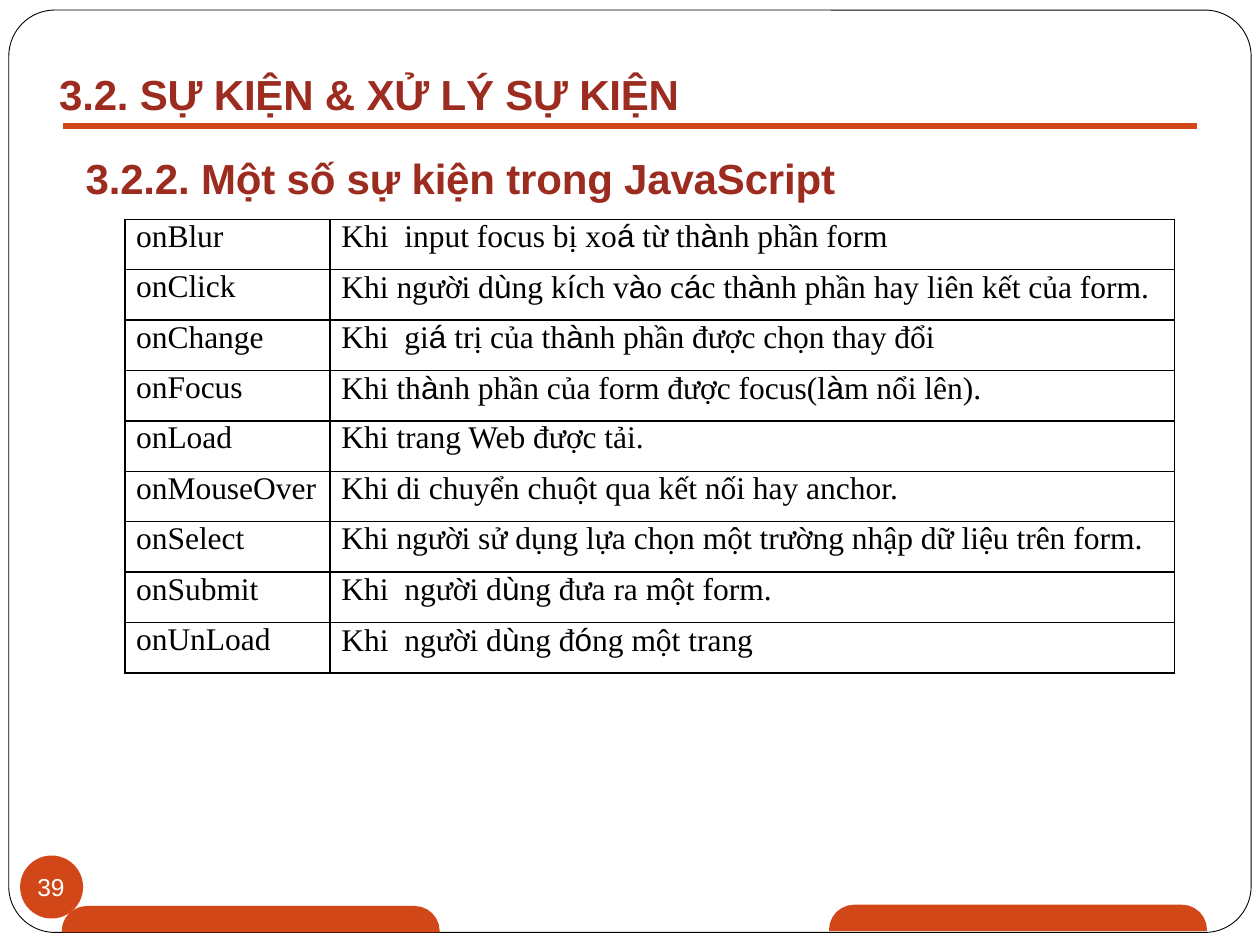
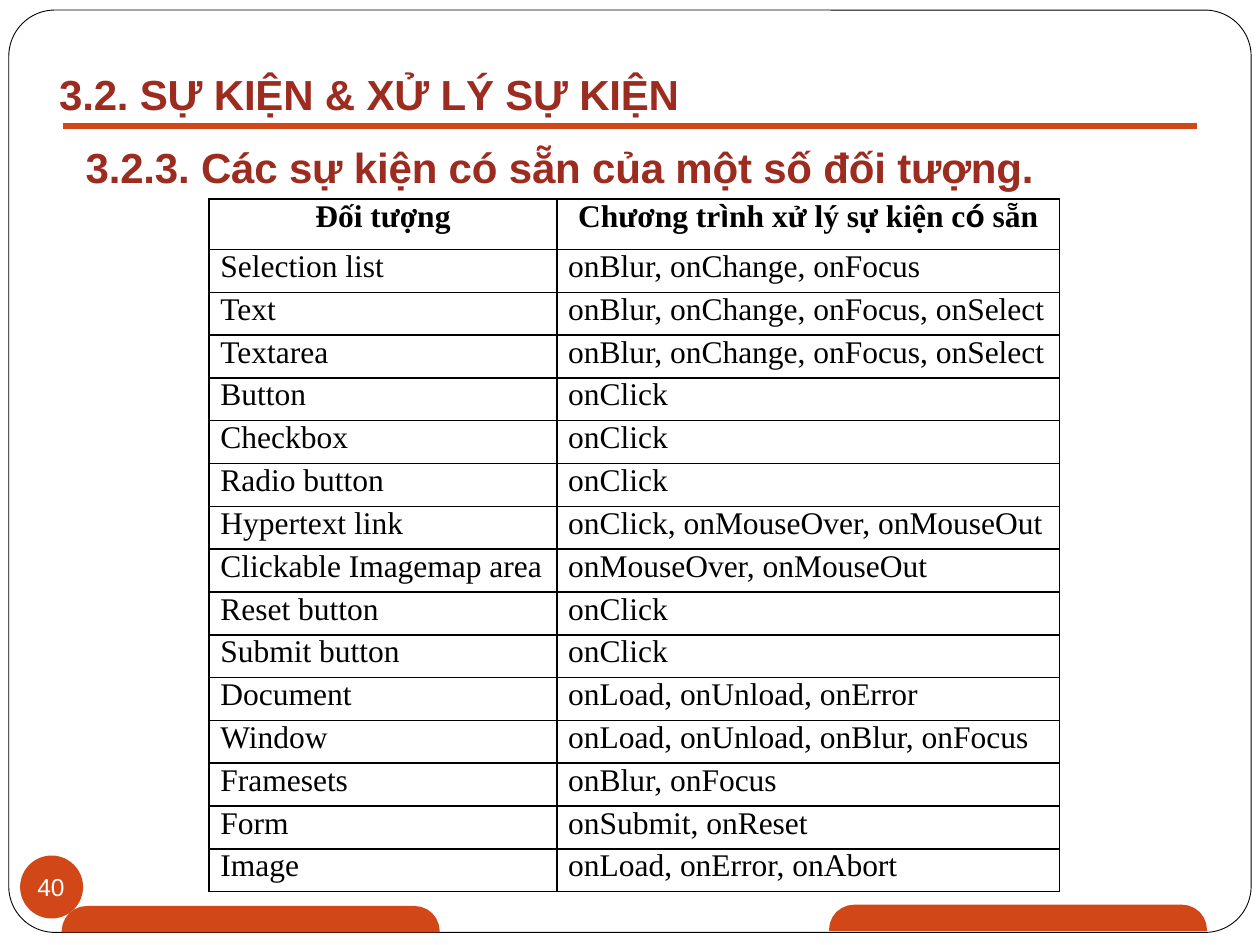
"""Builds two slides on JavaScript events, each with a heading and a ruled table."""
import math
from itertools import groupby

from lxml import etree
from pptx import Presentation
from pptx.dml.color import RGBColor
from pptx.enum import shapes, text as txt
from pptx.oxml import ns
from pptx.util import Inches, Pt

ORANGE = RGBColor(0xD2, 0x47, 0x17)
DARK_RED = RGBColor(0x9B, 0x2C, 0x1F)
BLACK = RGBColor(0, 0, 0)
WHITE = RGBColor(0xFF, 0xFF, 0xFF)
SANS, SERIF = "Arial", "Times New Roman"
SANS_LETTERS = "áàùíóì"

CHAPTER = "3.2. SỰ KIỆN & XỬ LÝ SỰ KIỆN"
EVENTS = [
    ("onBlur", "Khi  input focus bị xoá từ thành phần form"),
    ("onClick", "Khi người dùng kích vào các thành phần hay liên kết của form."),
    ("onChange", "Khi  giá trị của thành phần được chọn thay đổi"),
    ("onFocus", "Khi thành phần của form được focus(làm nổi lên)."),
    ("onLoad", "Khi trang Web được tải."),
    ("onMouseOver", "Khi di chuyển chuột qua kết nối hay anchor."),
    ("onSelect", "Khi người sử dụng lựa chọn một trường nhập dữ liệu trên form."),
    ("onSubmit", "Khi  người dùng đưa ra một form."),
    ("onUnLoad", "Khi  người dùng đóng một trang"),
]
HANDLERS = [
    ("Đối tượng", "Chương trình xử lý sự kiện có sẵn"),
    ("Selection list", "onBlur, onChange, onFocus"),
    ("Text", "onBlur, onChange, onFocus, onSelect"),
    ("Textarea", "onBlur, onChange, onFocus, onSelect"),
    ("Button", "onClick"),
    ("Checkbox", "onClick"),
    ("Radio button", "onClick"),
    ("Hypertext link", "onClick, onMouseOver, onMouseOut"),
    ("Clickable Imagemap area", "onMouseOver, onMouseOut"),
    ("Reset button", "onClick"),
    ("Submit button", "onClick"),
    ("Document", "onLoad, onUnload, onError"),
    ("Window", "onLoad, onUnload, onBlur, onFocus"),
    ("Framesets", "onBlur, onFocus"),
    ("Form", "onSubmit, onReset"),
    ("Image", "onLoad, onError, onAbort"),
]
PAGES = [
    dict(number="39", section="3.2.2. Một số sự kiện trong JavaScript", gap=19.2,
         heading_size=(6.3, 1.08), rows=EVENTS, header=False,
         corner=(0.99, 1.74), widths=(1.63, 6.7), row_height=0.4),
    dict(number="40", section="3.2.3. Các sự kiện có sẵn của một số đối tượng.", gap=13.2,
         heading_size=(7.9, 0.99), rows=HANDLERS, header=True,
         corner=(1.66, 1.58), widths=(2.76, 3.99), row_height=0.34),
]
HEADER_HEIGHT = 0.4
TABS = [(0.49, 7.19), (6.58, 7.18)]
TAB_WIDTH, TAB_HEIGHT, TAB_RADIUS = 3, 0.21, 0.2


def write(paragraph, words, size=18, font=SERIF, color=BLACK, bold=False,
          align=txt.PP_ALIGN.LEFT, before=0, leading=None, spacing=0):
    """Fill a paragraph, setting some accented letters of serif text in sans."""
    paragraph.alignment = align
    paragraph.space_before = Pt(before)
    if leading:
        paragraph.line_spacing = Pt(leading)
    for is_sans, letters in groupby(words, lambda letter: letter in SANS_LETTERS):
        run = paragraph.add_run()
        run.text = "".join(letters)
        run.font.size, run.font.bold = Pt(size), bold
        run.font.name = SANS if is_sans else font
        run.font.color.rgb = color
        if spacing:
            run.font._element.set("spc", str(round(spacing * 100)))


def clear_margins(frame):
    """Remove the insets of a text frame and start it at the top."""
    frame.margin_left = frame.margin_right = frame.margin_top = frame.margin_bottom = 0
    frame.vertical_anchor = txt.MSO_ANCHOR.TOP
    frame.word_wrap = True
    frame.auto_size = txt.MSO_AUTO_SIZE.NONE


def paint(shape):
    """Give a shape the plain accent fill."""
    shape.shadow.inherit = False
    shape.fill.solid()
    shape.fill.fore_color.rgb = ORANGE
    shape.line.fill.background()


def add_tab(slide, left, top):
    """Draw a footer tab with rounded upper corners."""
    arc = [TAB_RADIUS * math.sin(math.radians(a)) for a in range(0, 91, 15)]
    rises = list(zip(reversed(arc), arc))
    left_arc = [(left + TAB_RADIUS - x, top + TAB_RADIUS - y) for x, y in rises]
    right_arc = [(2 * left + TAB_WIDTH - x, y) for x, y in reversed(left_arc)]
    outline = [(left, top + TAB_HEIGHT), *left_arc, *right_arc,
               (left + TAB_WIDTH, top + TAB_HEIGHT)]
    points = [(Inches(x), Inches(y)) for x, y in outline]
    builder = slide.shapes.build_freeform(*points[0])
    builder.add_line_segments(points[1:], close=True)
    paint(builder.convert_to_shape())


def add_decor(slide, number):
    """Draw the frame, rule, tabs and page number that all slides share."""
    frame = slide.shapes.add_shape(shapes.MSO_SHAPE.ROUNDED_RECTANGLE, Inches(0.07),
                                   Inches(0.08), Inches(9.86), Inches(7.32))
    frame.adjustments[0] = 0.05
    frame.shadow.inherit = False
    frame.fill.background()
    frame.line.color.rgb, frame.line.width = BLACK, Pt(0.5)

    badge = slide.shapes.add_shape(shapes.MSO_SHAPE.OVAL, Inches(0.16), Inches(6.79),
                                   Inches(0.5), Inches(0.5))
    paint(badge)
    rule = slide.shapes.add_connector(shapes.MSO_CONNECTOR.STRAIGHT, Inches(0.5),
                                      Inches(1), Inches(9.5), Inches(1))
    rule.line.color.rgb, rule.line.width = ORANGE, Pt(3)
    etree.SubElement(rule._element.spPr, ns.qn("a:effectLst"))
    for left, top in TABS:
        add_tab(slide, left, top)

    page = slide.shapes.add_textbox(Inches(0.27), Inches(6.94), Inches(0.27), Inches(0.22))
    clear_margins(page.text_frame)
    write(page.text_frame.paragraphs[0], number, size=14, font=SANS, color=WHITE,
          align=txt.PP_ALIGN.CENTER, leading=15.2)


def add_heading(slide, section, gap, size):
    """Put chapter and section into the title placeholder."""
    heading = slide.shapes.title
    heading.left, heading.top = Inches(0.46), Inches(0.54)
    heading.width, heading.height = (Inches(side) for side in size)
    frame = heading.text_frame
    clear_margins(frame)
    lines = [(frame.paragraphs[0], CHAPTER, 0, 0.01), (frame.add_paragraph(), section, gap, 0.22)]
    for paragraph, words, before, indent in lines:
        write(paragraph, words, size=24, font=SANS, color=DARK_RED, bold=True,
              before=before, spacing=-0.1)
        paragraph._p.get_or_add_pPr().set("marL", str(Inches(indent)))


def add_borders(cell):
    """Rule all four sides of a cell in black."""
    properties = cell._tc.get_or_add_tcPr()
    for position, side in enumerate(("lnL", "lnR", "lnT", "lnB")):
        line = etree.Element(ns.qn(f"a:{side}"), w=str(Pt(1)))
        fill = etree.SubElement(line, ns.qn("a:solidFill"))
        etree.SubElement(fill, ns.qn("a:srgbClr"), val=str(BLACK))
        properties.insert(position, line)


def add_grid(slide, rows, header, corner, widths, row_height):
    """Draw the ruled table, with a bold centred header where there is one."""
    heights = [HEADER_HEIGHT if header and i == 0 else row_height for i in range(len(rows))]
    left, top, width, height = (Inches(n) for n in (*corner, sum(widths), sum(heights)))
    grid = slide.shapes.add_table(len(rows), len(widths), left, top, width, height).table
    grid.first_row = grid.horz_banding = False
    for column, column_width in zip(grid.columns, widths):
        column.width = Inches(column_width)
    for i, (row, entries) in enumerate(zip(grid.rows, rows)):
        row.height = Inches(heights[i])
        is_header = header and i == 0
        if is_header:
            style = dict(bold=True, align=txt.PP_ALIGN.CENTER, before=2.5)
        else:
            style = dict(leading=19.9) if header else dict(before=2.5)
        for cell, words in zip(row.cells, entries):
            cell.margin_right = cell.margin_top = cell.margin_bottom = 0
            cell.margin_left = 0 if is_header else Inches(0.09)
            cell.fill.background()
            add_borders(cell)
            write(cell.text_frame.paragraphs[0], words, **style)


def main():
    """Build and save the presentation."""
    deck = Presentation()
    deck.slide_width, deck.slide_height = Inches(10), Inches(7.5)
    title_only = deck.slide_layouts[5]
    for page in PAGES:
        slide = deck.slides.add_slide(title_only)
        add_decor(slide, page["number"])
        add_heading(slide, page["section"], page["gap"], page["heading_size"])
        add_grid(slide, page["rows"], page["header"], page["corner"],
                 page["widths"], page["row_height"])
    deck.save("out.pptx")


if __name__ == "__main__":
    main()
